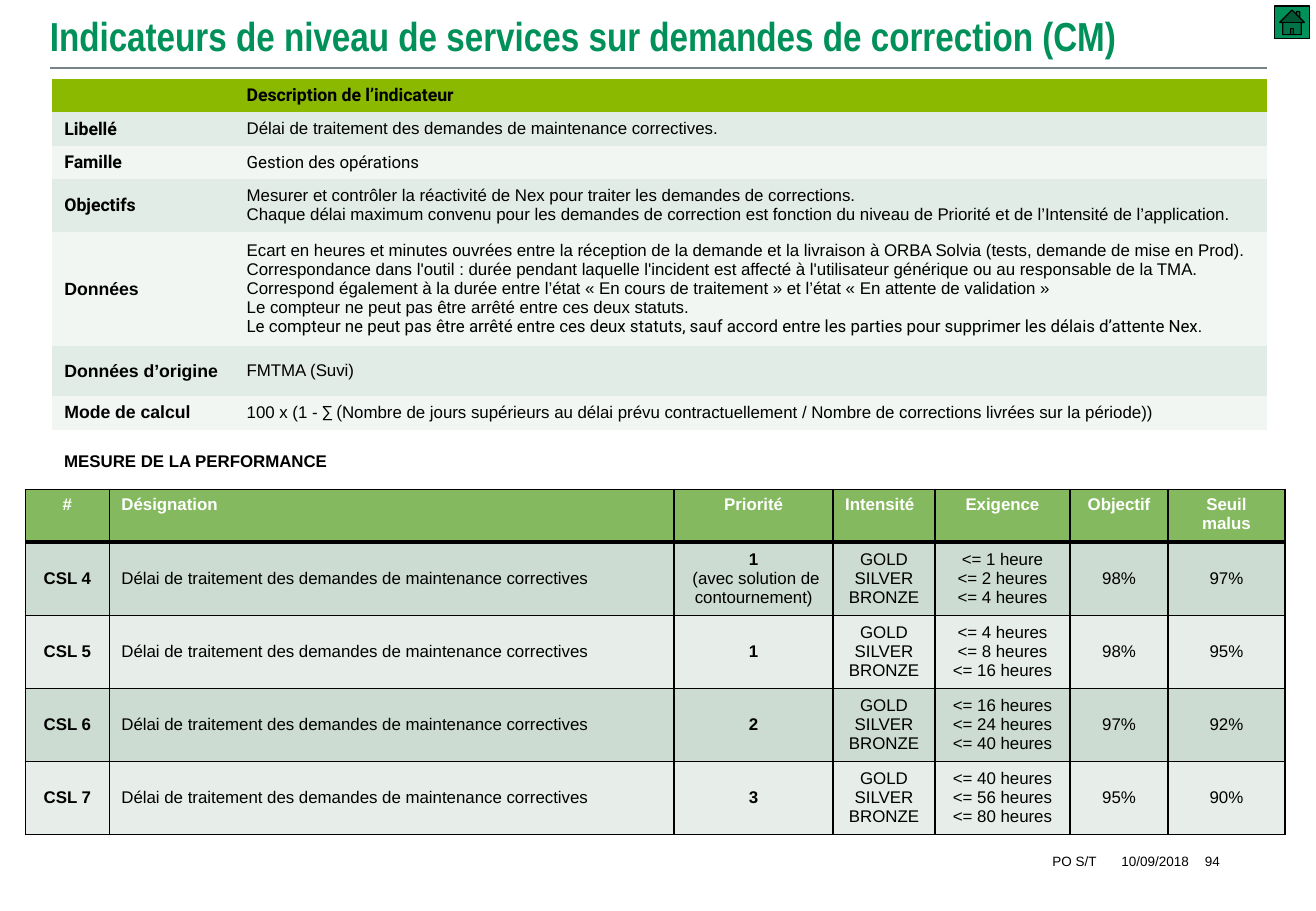
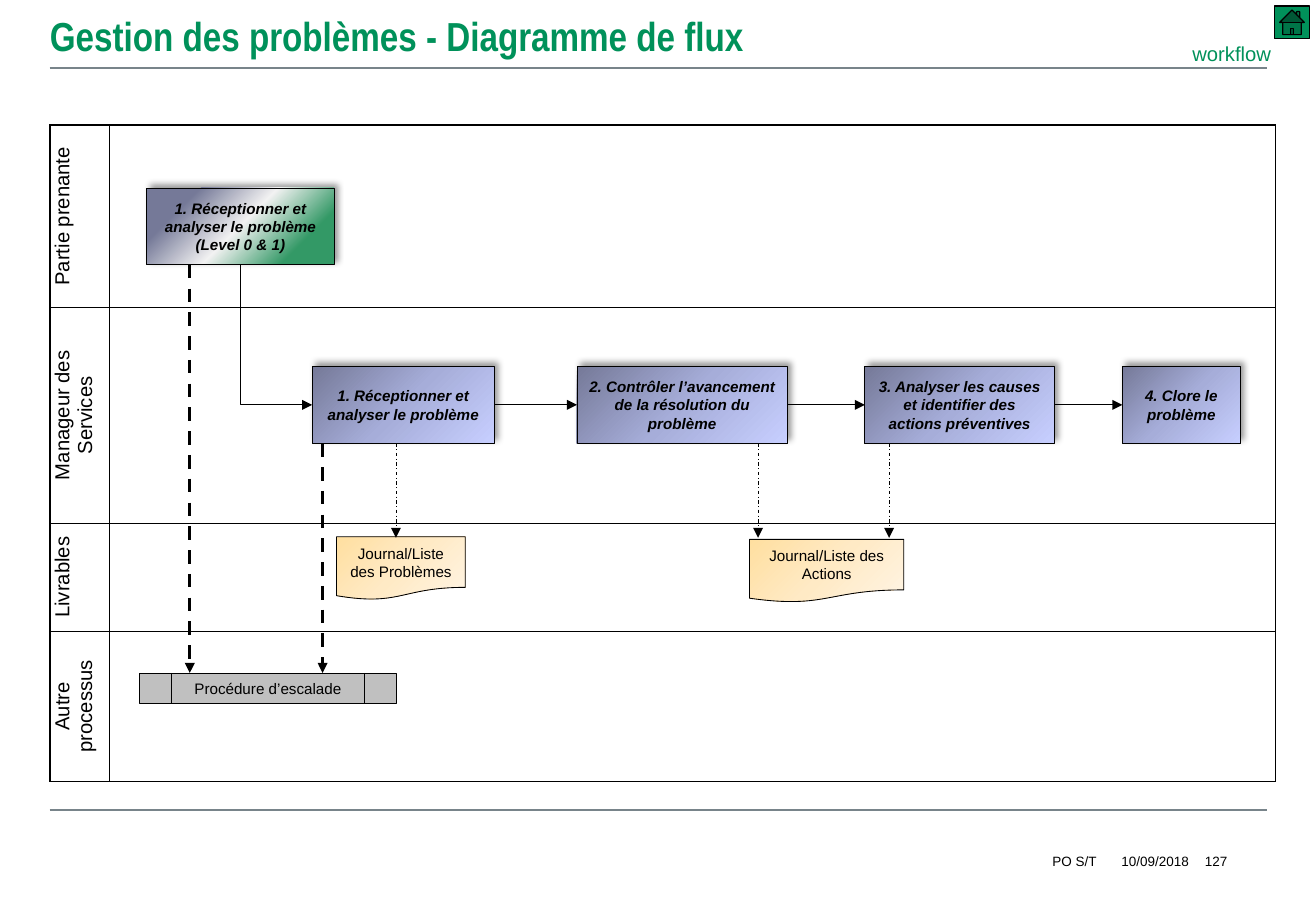
import pptx
import pptx.dml.color
import pptx.enum.dml
import pptx.enum.shapes
import pptx.enum.text
import pptx.oxml
import pptx.oxml.ns
import pptx.util
from lxml import etree

Pt = pptx.util.Pt
qn = pptx.oxml.ns.qn
SHAPE = pptx.enum.shapes.MSO_SHAPE
CONNECTOR = pptx.enum.shapes.MSO_CONNECTOR
DASH = pptx.enum.dml.MSO_LINE
ALIGN = pptx.enum.text.PP_ALIGN
ANCHOR = pptx.enum.text.MSO_ANCHOR
LEFT, CENTER, RIGHT = ALIGN.LEFT, ALIGN.CENTER, ALIGN.RIGHT
TOP, MIDDLE = ANCHOR.TOP, ANCHOR.MIDDLE

BRAND, BLACK, WHITE, RULE = "00915A", "000000", "FFFFFF", "78848A"
STEP_GRADIENT = [(0, "757998"), (50, "A6ADD9"), (100, "C7CFFF")]
START_GRADIENT = [(20, "757998"), (50, "F2F2F2"), (80, "339966")]
DOCUMENT_GRADIENT = [(0, "FFDFA0"), (50, "FFEAC5"), (100, "FFF4E3")]


def rgb(value):
    return pptx.dml.color.RGBColor.from_string(value)


# Text
def write(frame, lines, size, color=BLACK, font="Arial", bold=False, italic=False,
          align=LEFT):
    """Each line is a string or a list of (text, font) runs."""
    for index, line in enumerate(lines):
        paragraph = frame.add_paragraph() if index else frame.paragraphs[0]
        paragraph.alignment = align
        paragraph.font.size = Pt(size)
        paragraph.font.name = font
        paragraph.font.bold = bold
        paragraph.font.italic = italic
        paragraph.font.color.rgb = rgb(color)
        for text, run_font in [(line, font)] if isinstance(line, str) else line:
            run = paragraph.add_run()
            run.text = text
            if run_font != font:
                run.font.name = run_font
        if not line:
            paragraph._p.remove(paragraph.runs[0]._r)
            etree.SubElement(paragraph._p, qn("a:endParaRPr"), sz=str(int(size * 100)))


def set_insets(frame, horizontal, vertical):
    frame.margin_left = frame.margin_right = Pt(horizontal)
    frame.margin_top = frame.margin_bottom = Pt(vertical)


def add_text(slide, box, lines, size, anchor=MIDDLE, insets=(0, 0), **style):
    frame = slide.shapes.add_textbox(*map(Pt, box)).text_frame
    frame.word_wrap = True
    frame.vertical_anchor = anchor
    set_insets(frame, *insets)
    write(frame, lines, size, **style)


# Shapes and lines
def add_box(slide, kind, box, fill, line_width=0.5):
    shape = slide.shapes.add_shape(kind, *map(Pt, box))
    shape.shadow.inherit = False
    shape.line.color.rgb = rgb(BLACK)
    shape.line.width = Pt(line_width)
    if isinstance(fill, str):
        shape.fill.solid()
        shape.fill.fore_color.rgb = rgb(fill)
    else:
        shape.fill.gradient()
        shape.fill.gradient_angle = 315
        stops = shape._element.spPr.find(".//" + qn("a:gsLst"))
        for stop in list(stops):
            stops.remove(stop)
        for position, color in fill:
            stop = etree.SubElement(stops, qn("a:gs"), pos=str(position * 1000))
            etree.SubElement(stop, qn("a:srgbClr"), val=color)
    return shape


def label_box(shape, text, insets=(7.2, 3.6), **style):
    frame = shape.text_frame
    frame.word_wrap = True
    frame.vertical_anchor = MIDDLE
    set_insets(frame, *insets)
    write(frame, [text], 9, align=CENTER, **style)


def cast_shadow(shape):
    effects = shape._element.spPr.find(qn("a:effectLst"))
    shadow = etree.SubElement(effects, qn("a:outerShdw"), blurRad=str(Pt(4)),
                              dist=str(Pt(3)), dir="18900000", algn="bl", rotWithShape="0")
    color = etree.SubElement(shadow, qn("a:srgbClr"), val=BLACK)
    etree.SubElement(color, qn("a:alpha"), val="40000")


def add_line(slide, start, end, width, color=BLACK, dash=None, arrow=False,
             kind=CONNECTOR.STRAIGHT):
    line = slide.shapes.add_connector(kind, *map(Pt, (*start, *end)))
    line.line.color.rgb = rgb(color)
    line.line.width = Pt(width)
    if dash:
        line.line.dash_style = dash
    if arrow:
        etree.SubElement(line._element.spPr.find(qn("a:ln")), qn("a:tailEnd"),
                         type="triangle")
    etree.SubElement(line._element.spPr, qn("a:effectLst"))
    return line


def join(slide, source, source_side, target, kind=CONNECTOR.STRAIGHT, width=0.75):
    link = add_line(slide, (0, 0), (1, 1), width, arrow=True, kind=kind)
    link.begin_connect(source, source_side)
    link.end_connect(target, 1)
    return link


def join_down_then_right(slide, source, target):
    link = join(slide, source, 2, target, CONNECTOR.ELBOW)
    across, down = link.width, link.height
    middle_x, middle_y = link.left + across // 2, link.top + down // 2
    link.left, link.top = middle_x - down // 2, middle_y - across // 2
    link.width, link.height = down, across
    frame = link._element.spPr.find(qn("a:xfrm"))
    frame.set("rot", "16200000")
    frame.set("flipH", "1")
    link._element.spPr.find(qn("a:prstGeom")).set("prst", "bentConnector2")


# Tables
def add_table(slide, left, top, widths, heights):
    table = slide.shapes.add_table(len(heights), len(widths), Pt(left), Pt(top),
                                   Pt(sum(widths)), Pt(sum(heights))).table
    table.first_row = table.horz_banding = False
    for column, width in zip(table.columns, widths):
        column.width = Pt(width)
    for row, height in zip(table.rows, heights):
        row.height = Pt(height)
    return table


def format_cell(cell, fill=None, anchor=MIDDLE, top=1, bottom=1):
    """A border width of 0 hides that border; top=0 hides the sides too."""
    properties = cell._tc.get_or_add_tcPr()
    side = 1 if top else 0
    for edge, width in (("lnL", side), ("lnR", side), ("lnT", top), ("lnB", bottom)):
        border = etree.SubElement(properties, qn("a:" + edge), w=str(Pt(width)))
        if width:
            paint = etree.SubElement(border, qn("a:solidFill"))
            etree.SubElement(paint, qn("a:srgbClr"), val=BLACK)
        else:
            etree.SubElement(border, qn("a:noFill"))
    cell.vertical_anchor = anchor
    if fill:
        cell.fill.solid()
        cell.fill.fore_color.rgb = rgb(fill)
    else:
        cell.fill.background()


# Parts common to all slides
def add_frame(deck, title, page):
    slide = deck.slides.add_slide(deck.slide_layouts[6])
    for y in (480.2, 40.4):
        add_line(slide, (29.5, y), (751, y), 1, RULE)
    add_box(slide, SHAPE.ACTION_BUTTON_HOME, (755.3, 3.6, 21, 19.4), BRAND, 0.75)
    add_text(slide, (29.5, 0, 721.5, 41.8), [title], 24, color=BRAND,
             font="Arial Narrow", bold=True)
    for left, width, text, align in ((478, 172.1, "PO S/T", RIGHT),
                                     (654.5, 60.5, "10/09/2018", CENTER),
                                     (714.2, 30, page, LEFT)):
        add_text(slide, (left, 503.3, width, 14.4), [text], 8, align=align)
    return slide


# Indicator slide
INDICATOR = [
    ("", "Roboto", ["Description de l’indicateur"], "Roboto"),
    ("Libellé", "Roboto",
     ["Délai de traitement des demandes de maintenance correctives."], "Arial"),
    ("Famille", "Roboto", ["Gestion des opérations"], "Roboto"),
    ("Objectifs", "Roboto", [
        "Mesurer et contrôler la réactivité de Nex pour traiter les demandes de corrections.",
        "Chaque délai maximum convenu pour les demandes de correction est fonction du niveau "
        "de Priorité et de l’Intensité de l’application."], "Arial"),
    ("Données", "Arial", [
        "Ecart en heures et minutes ouvrées entre la réception de la demande et la livraison "
        "à ORBA Solvia (tests, demande de mise en Prod).",
        "Correspondance dans l'outil : durée pendant laquelle l'incident est affecté à "
        "l'utilisateur générique ou au responsable de la TMA.",
        "Correspond également à la durée entre l’état « En cours de traitement » et l’état "
        "« En attente de validation »",
        "Le compteur ne peut pas être arrêté entre ces deux statuts.",
        [("Le compteur ne peut pas être arrêté entre ces deux statuts, sauf accord entre les "
          "parties pour supprimer les délais d’attente Nex.", "Roboto")]], "Arial"),
    ("Données d’origine", "Arial", ["FMTMA (Suvi)"], "Arial"),
    ("Mode de calcul", "Arial", [[
        ("100 x (1 - ", "Arial"), ("∑ (", "Roboto"),
        ("Nombre de jours supérieurs au délai prévu contractuellement / Nombre de "
         "corrections livrées sur la période))", "Arial")]], "Arial"),
]
HEADINGS = ["#", "Désignation", "Priorité", "Intensité", "Exigence", "Objectif",
            "Seuil malus"]
DESIGNATION = "Délai de traitement des demandes de maintenance correctives"
LEVELS = ["GOLD", "SILVER", "BRONZE"]
TARGETS = [
    ("CSL 4", "1", ["1 heure", "2 heures", "4 heures"], "98%", "97%"),
    ("CSL 5", "1", ["4 heures", "8 heures", "16 heures"], "98%", "95%"),
    ("CSL 6", "2", ["16 heures", "24 heures", "40 heures"], "97%", "92%"),
    ("CSL 7", "3", ["40 heures", "56 heures", "80 heures"], "95%", "90%"),
]


def add_description(slide, left, top):
    table = add_table(slide, left, top, [108, 612], [19.6, 19.6, 19.6, 29.6, 67.6, 29.6, 20])
    for row, (label, label_font, lines, font) in enumerate(INDICATOR):
        fill = ("F1F6F3", "E2ECE6")[row % 2] if row else "8AB900"
        label_cell, value_cell = table.cell(row, 0), table.cell(row, 1)
        for cell in (label_cell, value_cell):
            format_cell(cell, fill, MIDDLE if row else TOP, top=0, bottom=0)
        write(label_cell.text_frame, [label], 10.5, font=label_font, bold=True)
        write(value_cell.text_frame, lines, 10 if row else 10.5, font=font, bold=not row)


def add_targets(slide, left, top):
    table = add_table(slide, left, top, [49.8, 334.8, 94.2, 60.4, 80, 58.2, 69.2],
                      [31.4] + [43.3] * len(TARGETS))
    for column, heading in enumerate(HEADINGS):
        cell = table.cell(0, column)
        format_cell(cell, "85B95F", TOP, bottom=3)
        write(cell.text_frame, [heading], 10, WHITE, bold=True,
              align=LEFT if column in (1, 3) else CENTER)
    for row, (code, priority, delays, goal, malus) in enumerate(TARGETS, 1):
        values = [[code], [DESIGNATION], [priority], LEVELS,
                  ["<= " + delay for delay in delays], [goal], [malus]]
        for column, lines in enumerate(values):
            cell = table.cell(row, column)
            format_cell(cell, ("E7EEEA", "CCDCD2")[row % 2], top=3 if row == 1 else 1)
            write(cell.text_frame, lines, 10, bold=column in (0, 2),
                  align=LEFT if column == 1 else CENTER)
    workaround = table.cell(1, 2).text_frame.add_paragraph()
    workaround.text = " (avec solution de contournement)"
    workaround.font.size, workaround.font.name = Pt(10), "Arial"
    workaround.font.color.rgb = rgb(BLACK)
    workaround.alignment = CENTER


# Workflow slide
LANES = [("Partie prenante", 108), ("Manageur des Services", 128), ("Livrables", 64),
         ("Autre processus", 89)]
STEPS = [
    (155.5, 108, "1. Réceptionner et analyser le problème"),
    (312.5, 124.6, "2. Contrôler l’avancement de la résolution du problème"),
    (483.1, 112.3, "3. Analyser les causes et identifier des actions préventives"),
    (635.8, 69.8, "4. Clore le problème"),
]
DOCUMENTS = [(170, 244, 76.3, "Journal/Liste des Problèmes"),
             (414.8, 245.5, 91.4, "Journal/Liste des Actions")]


def add_lanes(slide, left, top):
    table = add_table(slide, left, top, [35.3, 691.2], [height for _, height in LANES])
    for row, (lane, _) in enumerate(LANES):
        name_cell, body_cell = table.cell(row, 0), table.cell(row, 1)
        format_cell(name_cell)
        format_cell(body_cell)
        name_cell._tc.get_or_add_tcPr().set("vert", "vert270")
        set_insets(name_cell, 1.4, 0.7)
        write(name_cell.text_frame, [lane], 12, align=CENTER)
        write(body_cell.text_frame, [""], 12)


def add_workflow(slide, left, top):
    add_lanes(slide, left, top)
    step_top, step_height, escalation_top = 143, 45.6, 324.7
    step_bottom = step_top + step_height

    def add_step(x, y, width, text, gradient):
        step = add_box(slide, SHAPE.RECTANGLE, (left + x, top + y, width, step_height),
                       gradient)
        cast_shadow(step)
        label_box(step, text, bold=True, italic=True)
        return step

    # Deliverables and escalation
    for x, y, width, text in DOCUMENTS:
        document = add_box(slide, SHAPE.FLOWCHART_DOCUMENT, (left + x, top + y, width, 37.4),
                           DOCUMENT_GRADIENT)
        label_box(document, text, (7.2, 0.7))
    escalation = add_box(slide, SHAPE.FLOWCHART_PREDEFINED_PROCESS,
                         (left + 53.3, top + escalation_top, 152, 18), "C0C0C0")
    label_box(escalation, "Procédure d’escalade")

    # Vertical flows
    for x, start, end, width, dash in (
            (83, 82.8, escalation_top, 0, DASH.DASH),
            (161.7, step_bottom, escalation_top, 0, DASH.DASH),
            (205.2, step_bottom, 244.6, 0.5, DASH.DASH_DOT),
            (419.8, step_bottom, 244.6, 0.5, DASH.DASH_DOT),
            (497.5, step_bottom, 244.6, 0.5, DASH.DASH_DOT)):
        add_line(slide, (left + x, top + start), (left + x, top + end), width,
                 dash=dash, arrow=True)

    # Steps and their sequence
    start = add_step(57.5, 37.2, 111, "1. Réceptionner et analyser le problème (Level 0 & 1)",
                     START_GRADIENT)
    steps = [add_step(x, step_top, width, text, STEP_GRADIENT) for x, width, text in STEPS]
    join_down_then_right(slide, start, steps[0])
    for source, target in zip(steps, steps[1:]):
        join(slide, source, 3, target)


def main():
    deck = pptx.Presentation()
    deck.slide_width, deck.slide_height = Pt(780), Pt(540)

    indicators = add_frame(
        deck, "Indicateurs de niveau de services sur demandes de correction (CM)", "94")
    add_description(indicators, 31, 46.8)
    add_text(indicators, (31, 263.5, 172.8, 19.4), ["MESURE DE LA PERFORMANCE"], 10,
             anchor=TOP, insets=(7.2, 3.6), bold=True)
    add_targets(indicators, 15, 290)

    workflow = add_frame(deck, "Gestion des problèmes - Diagramme de flux", "127")
    add_workflow(workflow, 29.5, 74.2)
    add_text(workflow, (705.6, 24.5, 49, 15.8), ["workflow"], 12, anchor=TOP, color=BRAND,
             align=CENTER)

    deck.save("out.pptx")


if __name__ == "__main__":
    main()
